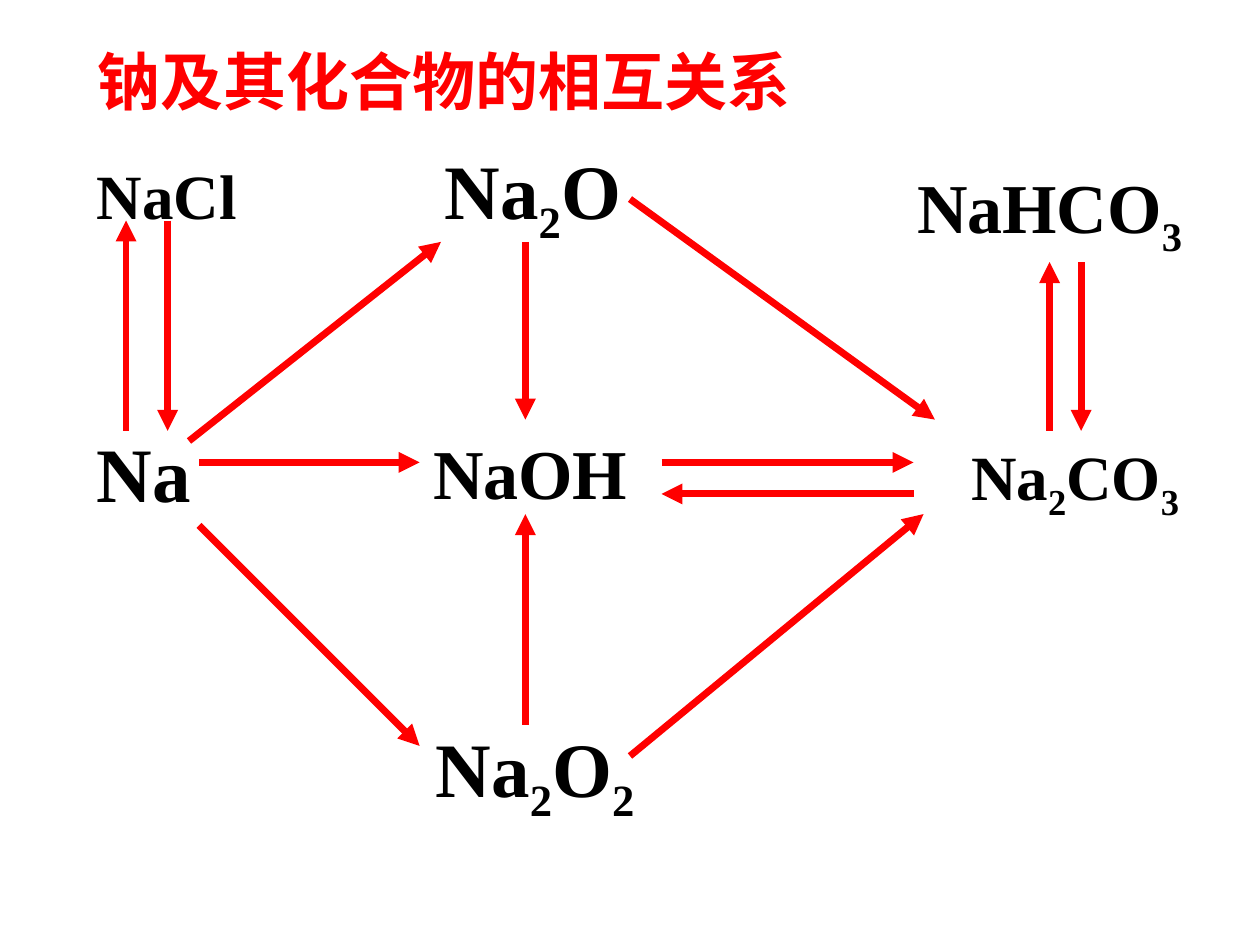
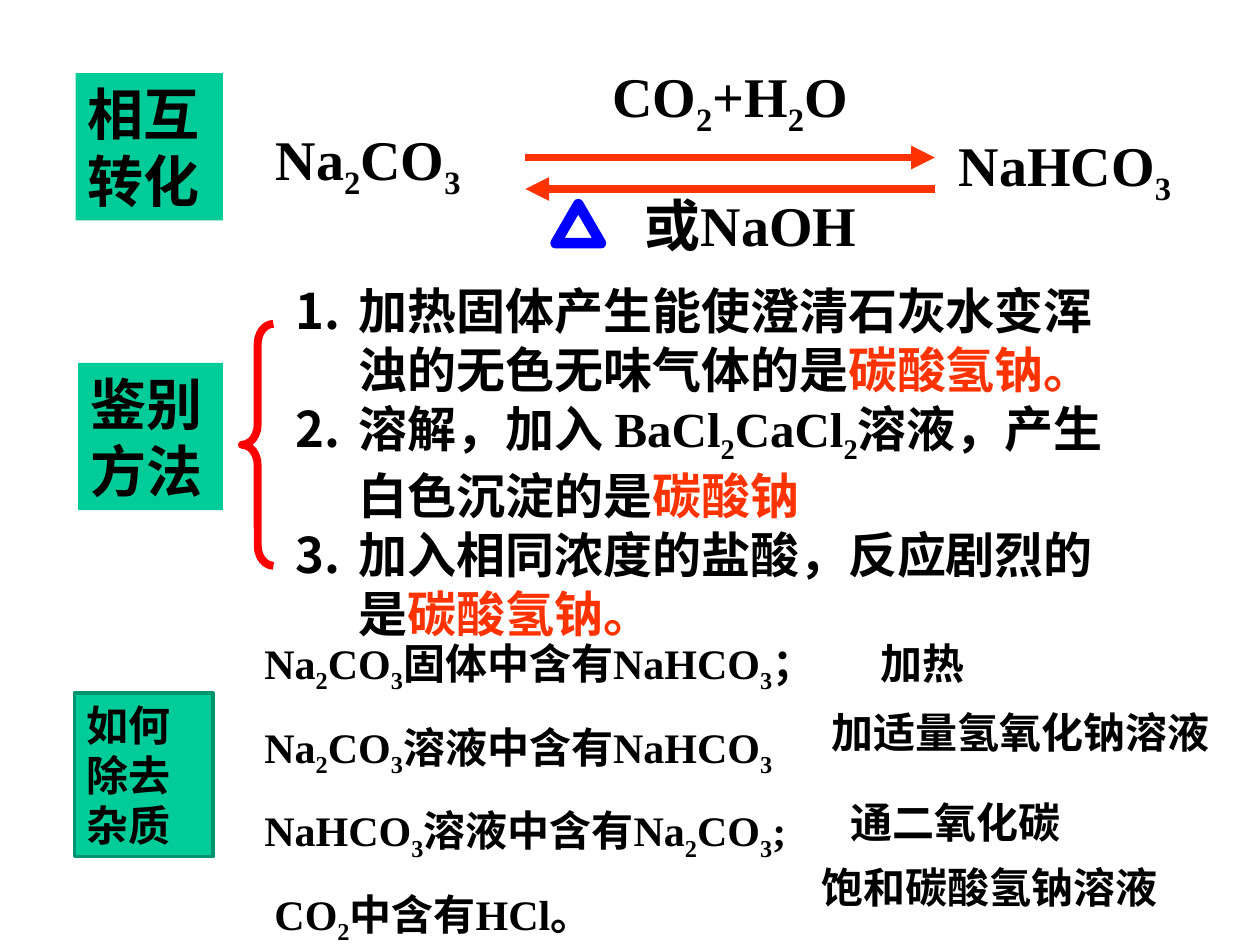
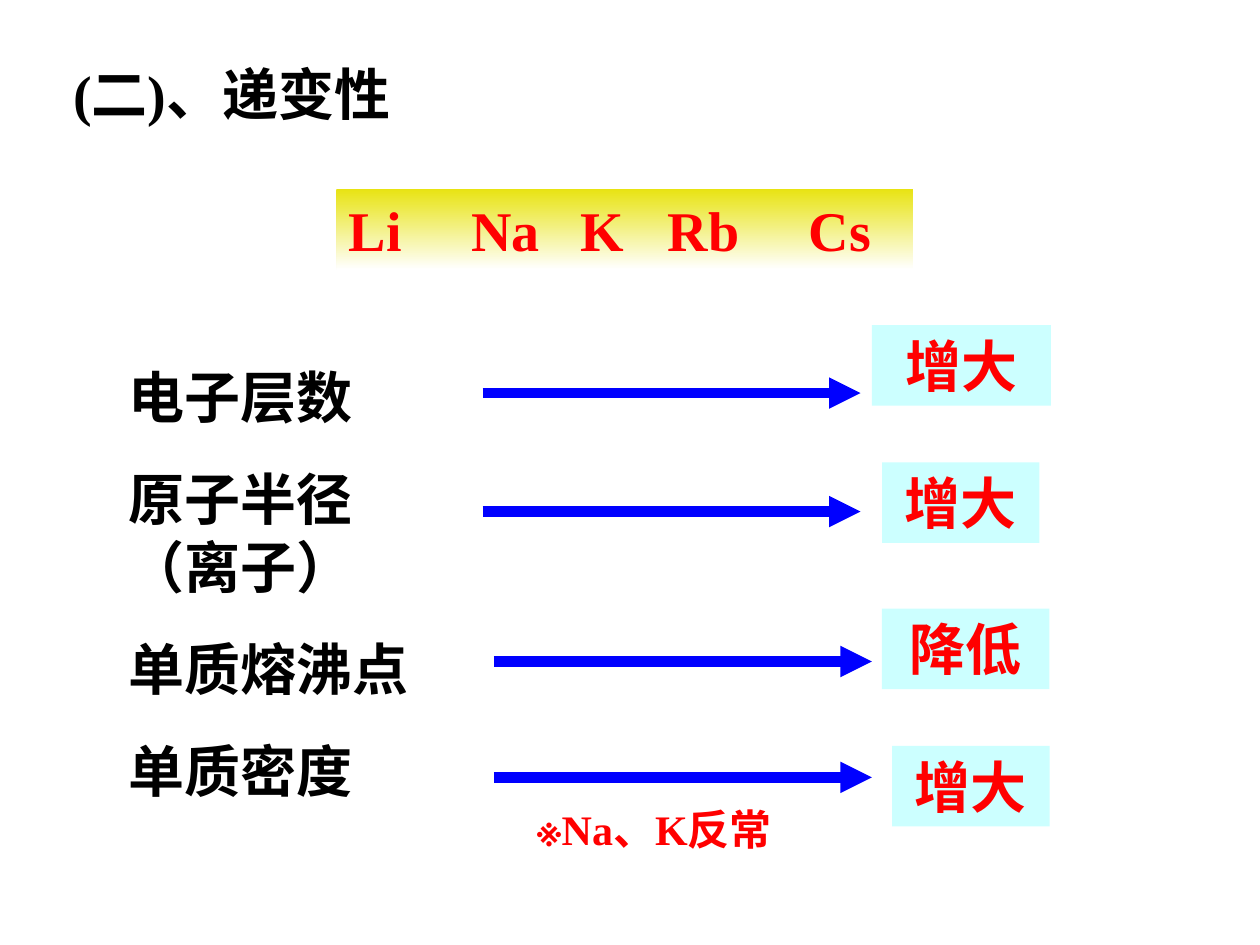
import pptx
import pptx.util
import pptx.dml.color
import pptx.enum.shapes
import pptx.enum.text
import pptx.oxml.ns
from lxml import etree

Inches = pptx.util.Inches
Pt = pptx.util.Pt
RGBColor = pptx.dml.color.RGBColor
MSO_SHAPE = pptx.enum.shapes.MSO_SHAPE
PP_ALIGN = pptx.enum.text.PP_ALIGN
qn = pptx.oxml.ns.qn

BLACK = RGBColor(0x00, 0x00, 0x00)
RED = RGBColor(0xFF, 0x00, 0x00)
ORANGE = RGBColor(0xFF, 0x33, 0x00)
BLUE = RGBColor(0x00, 0x00, 0xFF)
GREEN = RGBColor(0x00, 0xCC, 0x99)
DARK_GREEN = RGBColor(0x00, 0x95, 0x6F)
CYAN = RGBColor(0xCC, 0xFF, 0xFF)
YELLOW = RGBColor(0xE8, 0xE3, 0x12)
WHITE = RGBColor(0xFF, 0xFF, 0xFF)
FONT = "Times New Roman"
TITLE_ONLY, BLANK = 5, 6


def add_text(s, box, lines, size, color=BLACK, sp=None, fill=None,
             align=PP_ALIGN.LEFT, gap=0, wrap=True):
    """Write lines; _x is a subscript x and *...* is accented."""
    if sp is None and fill is None:
        sp = s.shapes.add_textbox(0, 0, 0, 0)
    elif sp is None:
        sp = s.shapes.add_shape(MSO_SHAPE.RECTANGLE, 0, 0, 0, 0)
        sp.shadow.inherit = False
        sp.fill.solid()
        sp.fill.fore_color.rgb = fill
        sp.line.fill.background()
    sp.left, sp.top, sp.width, sp.height = [Inches(v) for v in box]
    tf = sp.text_frame
    tf.word_wrap = wrap
    tf.auto_size = pptx.enum.text.MSO_AUTO_SIZE.NONE
    tf.vertical_anchor = pptx.enum.text.MSO_ANCHOR.TOP
    for i, line in enumerate(lines):
        p = tf.add_paragraph() if i else tf.paragraphs[0]
        p.alignment = align
        p.space_before = Pt(gap if i else 0)
        for j, part in enumerate(line.split("*")):
            first, *others = part.split("_")
            pieces = [(first, False)]
            for other in others:
                pieces += [(other[0], True), (other[1:], False)]
            for text, subscript in pieces:
                if not text:
                    continue
                r = p.add_run()
                r.text = text
                r.font.name = FONT
                r.font.size = Pt(size)
                r.font.bold = True
                r.font.color.rgb = ORANGE if j % 2 else color
                if subscript:
                    r.font._element.set("baseline", "-25000")
    return sp


def add_arrow(s, x1, y1, x2, y2, color, width):
    c = s.shapes.add_connector(pptx.enum.shapes.MSO_CONNECTOR.STRAIGHT,
                               Inches(x1), Inches(y1), Inches(x2), Inches(y2))
    c.line.color.rgb = color
    c.line.width = Pt(width)
    etree.SubElement(c.line._get_or_add_ln(), qn("a:tailEnd"), type="triangle")
    etree.SubElement(c._element.spPr, qn("a:effectLst"))


prs = pptx.Presentation()
prs.slide_width, prs.slide_height = Inches(10), Inches(7.5)

# Slide 1: how sodium and its compounds convert
s = prs.slides.add_slide(prs.slide_layouts[TITLE_ONLY])
add_text(s, (0.67, 0.29, 6.07, 0.7), ["钠及其化合物的相互关系"], 36, RED,
         sp=s.shapes.title)
for formula, size, box in [
    ("NaCl", 36, (0.67, 1.19, 1.31, 0.7)),
    ("Na", 44, (0.67, 3.33, 0.95, 0.84)),
    ("Na_2O", 44, (3.43, 1.08, 1.6, 0.94)),
    ("NaOH", 40, (3.34, 3.36, 1.74, 0.77)),
    ("Na_2O_2", 44, (3.36, 5.67, 1.78, 0.94)),
    ("NaHCO_3", 40, (7.18, 1.25, 2.3, 0.86)),
    ("Na_2CO_3", 36, (7.61, 3.42, 1.97, 0.79)),
]:
    add_text(s, box, [formula], size, wrap=False)
for ends in [
    (1, 3.42, 1, 1.75), (1.33, 1.75, 1.33, 3.42),          # Na and NaCl
    (1.5, 3.5, 3.5, 1.92), (1.58, 3.67, 3.33, 3.67),       # from Na
    (1.58, 4.17, 3.33, 5.92),
    (4.17, 1.92, 4.17, 3.33), (4.17, 5.75, 4.17, 4.08),    # oxides to NaOH
    (5, 1.58, 7.42, 3.33), (5, 6, 7.33, 4.08),             # oxides to Na2CO3
    (5.25, 3.67, 7.25, 3.67), (7.25, 3.92, 5.25, 3.92),    # NaOH and Na2CO3
    (8.33, 3.42, 8.33, 2.08), (8.58, 2.08, 8.58, 3.42),    # Na2CO3 and NaHCO3
]:
    add_arrow(s, *ends, RED, 4)

# Slide 2: carbonate and bicarbonate
s = prs.slides.add_slide(prs.slide_layouts[BLANK])
add_text(s, (0.6, 0.58, 1.17, 1.17), ["相互", "转化"], 32, fill=GREEN)
add_text(s, (0.62, 2.88, 1.15, 1.17), ["鉴别", "方法"], 32, fill=GREEN)

# Conversion
for formula, box in [
    ("Na_2CO_3", (2.09, 0.94, 1.67, 0.71)),
    ("NaHCO_3", (7.51, 0.99, 1.88, 0.71)),
    ("CO_2+H_2O", (4.76, 0.44, 2.07, 0.71)),
    ("或NaOH", (5.02, 1.46, 1.99, 0.64)),
]:
    add_text(s, box, [formula], 32, wrap=False)
add_arrow(s, 4.17, 1.25, 7.42, 1.25, ORANGE, 4.5)
add_arrow(s, 7.42, 1.5, 4.17, 1.5, ORANGE, 4.5)
heat = s.shapes.add_shape(MSO_SHAPE.FLOWCHART_EXTRACT, Inches(4.41),
                          Inches(1.62), Inches(0.36), Inches(0.31))
brace = s.shapes.add_shape(MSO_SHAPE.LEFT_BRACE, Inches(1.92), Inches(2.57),
                           Inches(0.25), Inches(1.92))
brace.adjustments[0] = 0.64
for sp, color, width in [(heat, BLUE, 6), (brace, RED, 4.5)]:
    sp.shadow.inherit = False
    sp.fill.background()
    sp.line.color.rgb = color
    sp.line.width = Pt(width)

# Numbered tests
tests = add_text(s, (2.25, 2.18, 6.83, 2.97), [
    "加热固体产生能使澄清石灰水变浑浊的无色无味气体的是*碳酸氢钠。*",
    "溶解，加入 BaCl_2CaCl_2溶液，产生白色沉淀的是*碳酸钠*",
    "加入相同浓度的盐酸，反应剧烈的是*碳酸氢钠。*",
], 28)
for p in tests.text_frame.paragraphs:
    pPr = p._p.get_or_add_pPr()
    pPr.set("marL", str(Inches(0.5)))
    pPr.set("indent", str(Inches(-0.5)))
    etree.SubElement(pPr, qn("a:buFont"), typeface=FONT)
    etree.SubElement(pPr, qn("a:buAutoNum"), type="arabicPeriod")

# Removing impurities
mixtures = add_text(s, (0.75, 5.01, 9.13, 2.55), [
    "Na_2CO_3固体中含有NaHCO_3；",
    "Na_2CO_3溶液中含有NaHCO_3",
    "NaHCO_3溶液中含有Na_2CO_3;",
    "CO_2中含有HCl。",
], 24, gap=15)
for p, indent in zip(mixtures.text_frame.paragraphs, [1.25, 1.25, 1.25, 1.33]):
    p._p.get_or_add_pPr().set("marL", str(Inches(indent)))
label = add_text(s, (0.59, 5.5, 1.1, 1.3), ["如何除去杂质"], 24, fill=GREEN)
label.line.color.rgb = DARK_GREEN
label.line.width = Pt(2)
for remedy, box in [
    ("加热", (6.89, 5.01, 1.26, 0.5)),
    ("加适量氢氧化钠溶液", (6.5, 5.56, 3.47, 0.5)),
    ("通二氧化碳", (6.65, 6.27, 2.13, 0.5)),
    ("饱和碳酸氢钠溶液", (6.42, 6.79, 3.31, 0.5)),
]:
    add_text(s, box, [remedy], 24)

# Slide 3: trends down the alkali metals
s = prs.slides.add_slide(prs.slide_layouts[TITLE_ONLY])
add_text(s, (0.48, 0.42, 3.26, 0.64), ["(二)、递变性"], 32, sp=s.shapes.title)

# Element band
band = add_text(s, (2.67, 1.5, 4.58, 0.64), ["Li\tNa\tK\tRb\tCs"], 32, RED,
                fill=YELLOW)
band.fill.gradient()
band.fill.gradient_angle = 270
for stop, color, position in zip(band.fill.gradient_stops, [YELLOW, WHITE], [0, 1]):
    stop.color.rgb = color
    stop.position = position
tabs = etree.SubElement(band.text_frame.paragraphs[0]._p.get_or_add_pPr(),
                        qn("a:tabLst"))
for stop in [0.97, 1.84, 2.53, 3.65]:
    etree.SubElement(tabs, qn("a:tab"), pos=str(Inches(stop)), algn="l")

# Properties and their trends
add_text(s, (0.92, 2.83, 2.75, 3.6),
         ["电子层数", "原子半径（离子）", "单质熔沸点", "单质密度"], 32, gap=20)
for x, y, trend, box in [
    (3.83, 3.12, "增大", (6.92, 2.58, 1.42, 0.64)),
    (3.83, 4.06, "增大", (7, 3.67, 1.25, 0.64)),
    (3.92, 5.25, "降低", (7, 4.83, 1.33, 0.64)),
    (3.92, 6.17, "增大", (7.08, 5.92, 1.25, 0.64)),
]:
    add_arrow(s, x, y, x + 3, y, BLUE, 6)
    add_text(s, box, [trend], 32, RED, fill=CYAN, align=PP_ALIGN.CENTER)
add_text(s, (4.17, 6.33, 2.33, 0.9), ["※Na、K反常"], 24, RED, fill=WHITE)

prs.save("out.pptx")
